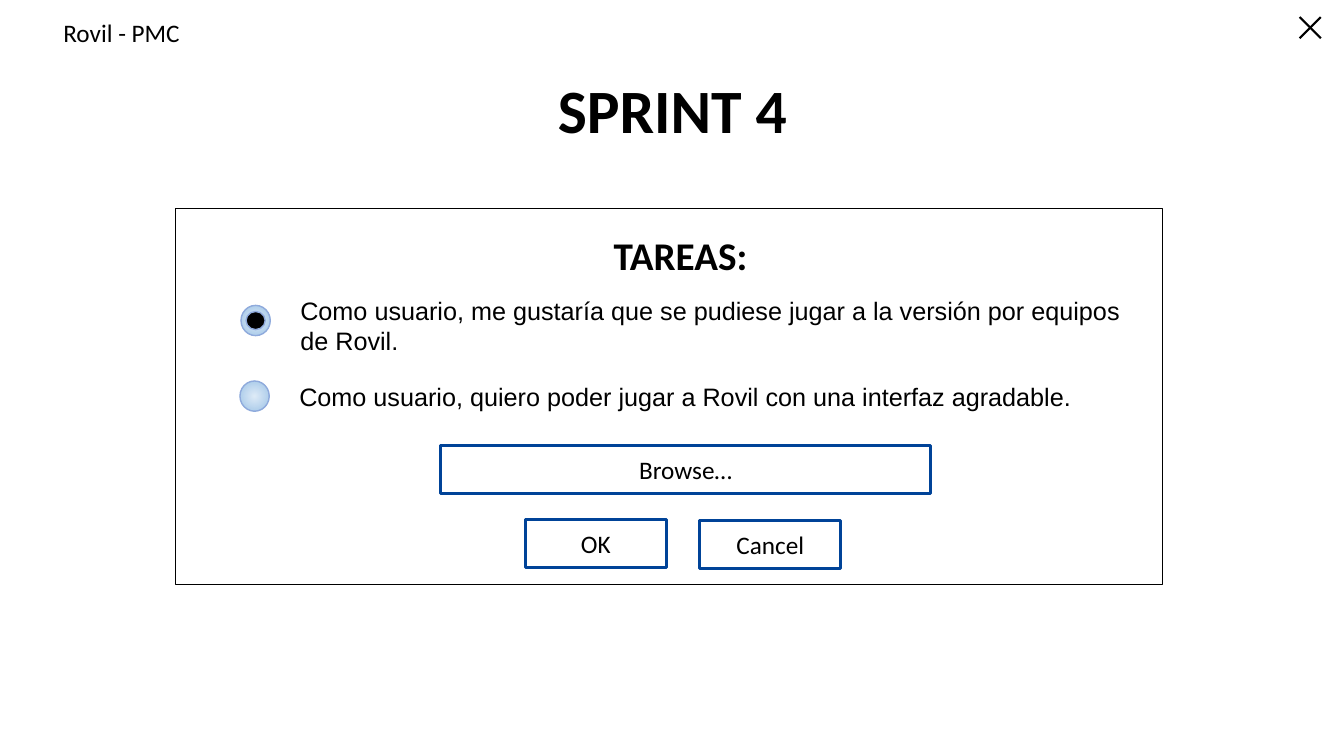
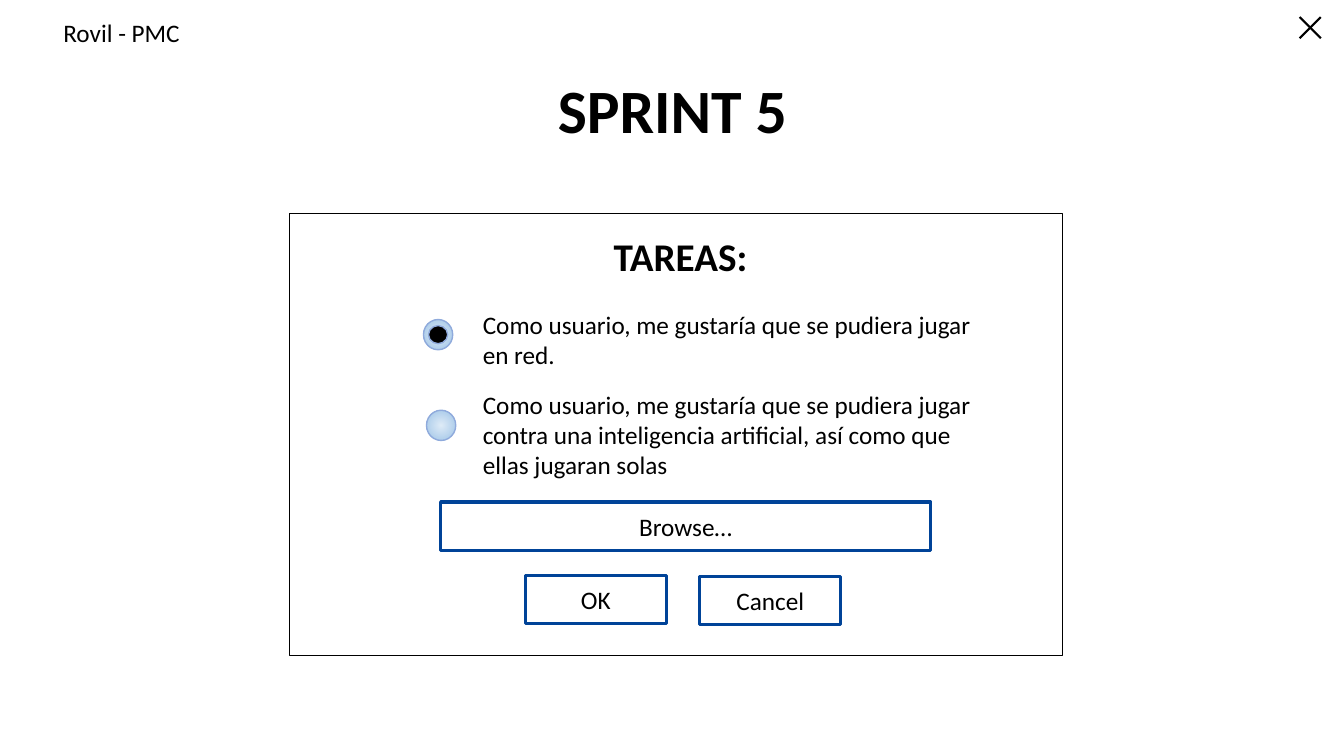
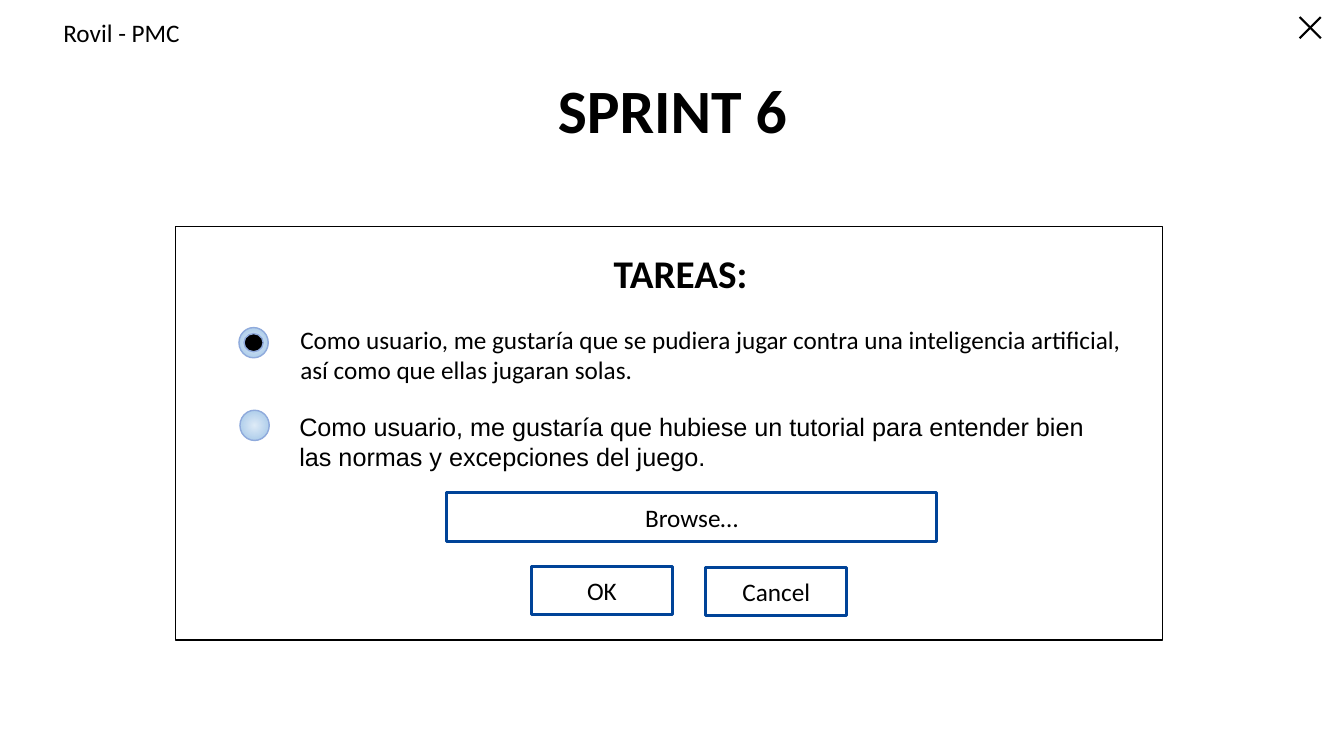
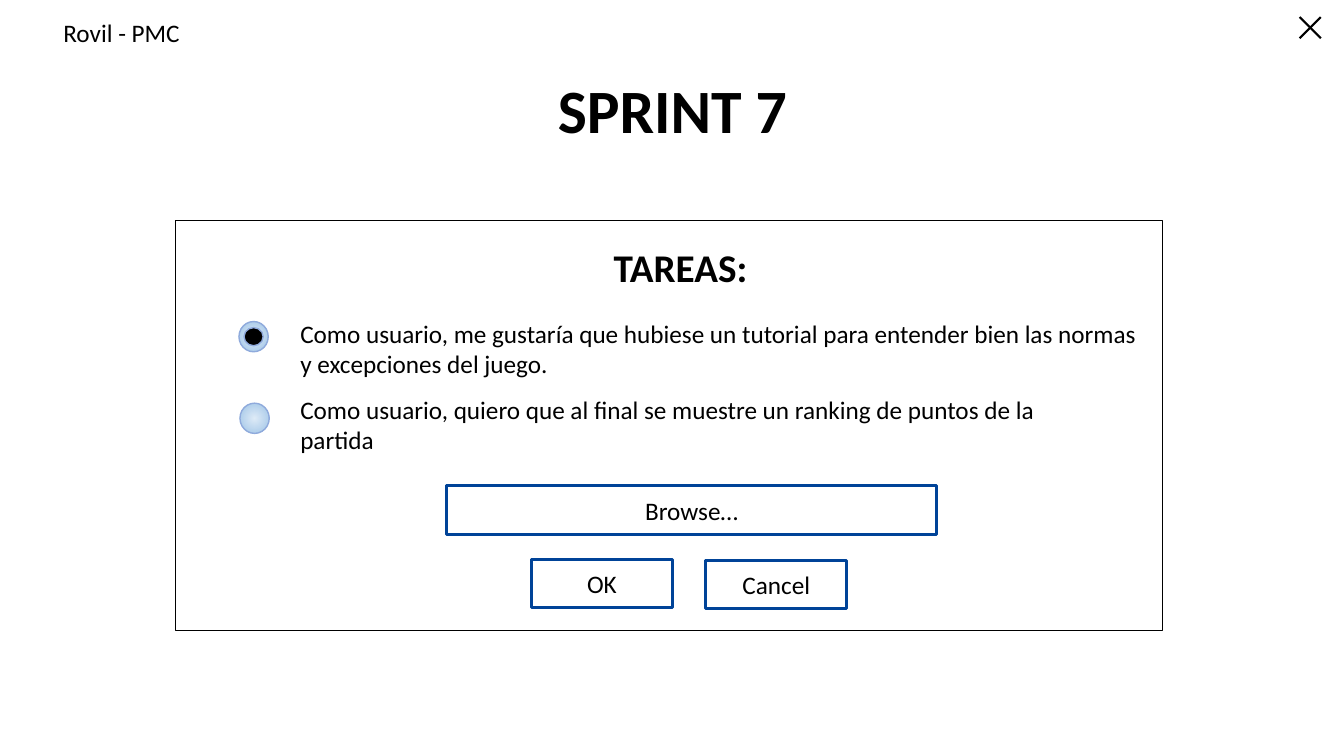
from dataclasses import dataclass

from lxml import etree
from pptx import Presentation
from pptx import util as u
from pptx.dml.color import RGBColor
from pptx.enum import shapes, text
from pptx.oxml import ns

COLOURS = {
    "black": "000000",
    "white": "FFFFFF",
    "button": "004398",
    "radio_centre": "DEEBF7",
    "radio_edge": "9DC3E6",
    "radio_line": "8FAADC",
}
BODY_FONT = "Calibri"
BUTTON_HEIGHT = 0.48
RADIO_SIZE = (0.29, 0.3)
DOT_SIZE = (0.19, 0.18)


@dataclass(frozen=True)
class Box:
    left: float
    top: float
    width: float
    height: float

    def lengths(self) -> tuple:
        return tuple(u.Inches(value) for value in
                     (self.left, self.top, self.width, self.height))


@dataclass(frozen=True)
class Story:
    wording: str
    box: Box
    radio_left: float
    radio_top: float
    font: str = BODY_FONT


@dataclass(frozen=True)
class Button:
    label: str
    offset_left: float
    offset_top: float
    width: float


@dataclass(frozen=True)
class Sprint:
    number: int
    panel: Box
    heading_top: float
    buttons_left: float
    buttons_top: float
    stories: tuple[Story, ...]  # the first one is selected


BUTTONS = (
    Button("Browse…", 0, 0, 4.86),
    Button("OK", 0.84, 0.73, 1.4),
    Button("Cancel", 2.57, 0.74, 1.4),
)

SPRINTS = (
    Sprint(4, Box(1.74, 2.07, 9.79, 3.73), 2.25, 4.37, 4.42, (
        Story("Como usuario, me gustaría que se pudiese jugar a la versión por equipos de Rovil.",
              Box(2.88, 2.88, 8.51, 0.71), 2.39, 3.03, "Arial"),
        Story("Como usuario, quiero poder jugar a Rovil con una interfaz agradable.",
              Box(2.87, 3.73, 8.17, 0.4), 2.38, 3.78, "Arial"),
    )),
    Sprint(5, Box(2.87, 2.12, 7.67, 4.38), 2.26, 4.37, 4.98, (
        Story("Como usuario, me gustaría que se pudiera jugar en red.",
              Box(4.69, 3.02, 5.15, 0.71), 4.2, 3.17),
        Story("Como usuario, me gustaría que se pudiera jugar contra una inteligencia artificial, "
              "así como que ellas jugaran solas",
              Box(4.69, 3.81, 5.15, 1.01), 4.23, 4.07),
    )),
    Sprint(6, Box(1.74, 2.25, 9.79, 4.1), 2.42, 4.43, 4.89, (
        Story("Como usuario, me gustaría que se pudiera jugar contra una inteligencia artificial, "
              "así como que ellas jugaran solas.",
              Box(2.88, 3.17, 8.51, 0.71), 2.37, 3.25),
        Story("Como usuario, me gustaría que hubiese un tutorial para entender bien las normas "
              "y excepciones del juego.",
              Box(2.87, 4.03, 8.08, 0.71), 2.38, 4.07, "Arial"),
    )),
    Sprint(7, Box(1.74, 2.19, 9.79, 4.07), 2.36, 4.43, 4.82, (
        Story("Como usuario, me gustaría que hubiese un tutorial para entender bien las normas "
              "y excepciones del juego.",
              Box(2.88, 3.11, 8.51, 0.71), 2.37, 3.19),
        Story("Como usuario, quiero que al final se muestre un ranking de puntos de la partida",
              Box(2.88, 3.86, 7.83, 0.71), 2.38, 4.0),
    )),
)


def colour(name: str) -> RGBColor:
    return RGBColor.from_string(COLOURS[name])


def write(shape, wording: str, size: float = 18, font: str = BODY_FONT,
          bold: bool = False, centred: bool = False):
    """Fill a shape with one paragraph and return that paragraph."""
    frame = shape.text_frame
    frame.text = wording
    frame.word_wrap = True
    paragraph = frame.paragraphs[0]
    paragraph.alignment = text.PP_ALIGN.CENTER if centred else text.PP_ALIGN.LEFT
    run_font = paragraph.runs[0].font
    run_font.name = font
    run_font.size = u.Pt(size)
    run_font.bold = bold
    run_font.color.rgb = colour("black")
    return paragraph


def add_text(slide, box: Box, wording: str, **style):
    shape = slide.shapes.add_textbox(*box.lengths())
    write(shape, wording, **style)
    shape.text_frame.auto_size = text.MSO_AUTO_SIZE.SHAPE_TO_FIT_TEXT
    return shape


def add_shape(slide, kind, box: Box, line: str, width: float, fill: str | None = None):
    shape = slide.shapes.add_shape(kind, *box.lengths())
    shape.shadow.inherit = False
    shape.line.color.rgb = colour(line)
    shape.line.width = u.Pt(width)
    if fill:
        shape.fill.solid()
        shape.fill.fore_color.rgb = colour(fill)
    else:
        shape.fill.background()
    return shape


def fill_radially(shape) -> None:
    shape.fill.gradient()
    for stop, name in zip(shape.fill.gradient_stops, ("radio_centre", "radio_edge")):
        stop.color.rgb = colour(name)
    linear = shape.element.spPr.find(".//" + ns.qn("a:lin"))
    gradient = linear.getparent()
    radial = etree.Element(ns.qn("a:path"), {"path": "circle"})
    etree.SubElement(radial, ns.qn("a:fillToRect"), {side: "50000" for side in "ltrb"})
    gradient.replace(linear, radial)


def add_frame(slide, title: str) -> None:
    """Draw the title, window caption and close mark."""
    title_box = slide.shapes.add_textbox(*Box(0.92, 0.4, 11.5, 1.45).lengths())
    title_box.text_frame.vertical_anchor = text.MSO_ANCHOR.MIDDLE
    write(title_box, title, size=44, bold=True, centred=True).line_spacing = 0.9

    add_text(slide, Box(0.53, 0.12, 1.45, 0.4), "Rovil - PMC")

    close_mark = slide.shapes.add_group_shape()
    top, bottom = 0.17, 0.38
    for start, end in ((top, bottom), (bottom, top)):
        stroke = close_mark.shapes.add_connector(
            shapes.MSO_CONNECTOR.STRAIGHT,
            u.Inches(12.89), u.Inches(start), u.Inches(13.1), u.Inches(end))
        stroke.line.color.rgb = colour("black")
        stroke.line.width = u.Pt(1.5)
        etree.SubElement(stroke.element.spPr, ns.qn("a:effectLst"))


def add_story(slide, story: Story, selected: bool) -> None:
    oval = shapes.MSO_SHAPE.OVAL
    radio = Box(story.radio_left, story.radio_top, *RADIO_SIZE)
    fill_radially(add_shape(slide, oval, radio, "radio_line", 1))
    if selected:
        dot = Box(radio.left + 0.05, radio.top + 0.06, *DOT_SIZE)
        add_shape(slide, oval, dot, "radio_line", 1, "black")
    add_text(slide, story.box, story.wording, font=story.font)


def add_sprint(presentation, sprint: Sprint) -> None:
    slide = presentation.slides.add_slide(presentation.slide_layouts[6])
    add_frame(slide, f"SPRINT {sprint.number}")

    # Task panel
    rectangle = shapes.MSO_SHAPE.RECTANGLE
    add_shape(slide, rectangle, sprint.panel, "black", 0.75)
    add_text(slide, Box(4.22, sprint.heading_top, 5.06, 0.57), "TAREAS:",
             size=28, bold=True, centred=True)
    for index, story in enumerate(sprint.stories):
        add_story(slide, story, selected=index == 0)

    # Buttons
    for button in BUTTONS:
        box = Box(sprint.buttons_left + button.offset_left,
                  sprint.buttons_top + button.offset_top, button.width, BUTTON_HEIGHT)
        shape = add_shape(slide, rectangle, box, "button", 2.25, "white")
        shape.text_frame.vertical_anchor = text.MSO_ANCHOR.MIDDLE
        write(shape, button.label, centred=True)


def main() -> None:
    presentation = Presentation()
    presentation.slide_width = u.Inches(13.33)
    presentation.slide_height = u.Inches(7.5)
    for sprint in SPRINTS:
        add_sprint(presentation, sprint)
    presentation.save("out.pptx")


if __name__ == "__main__":
    main()
